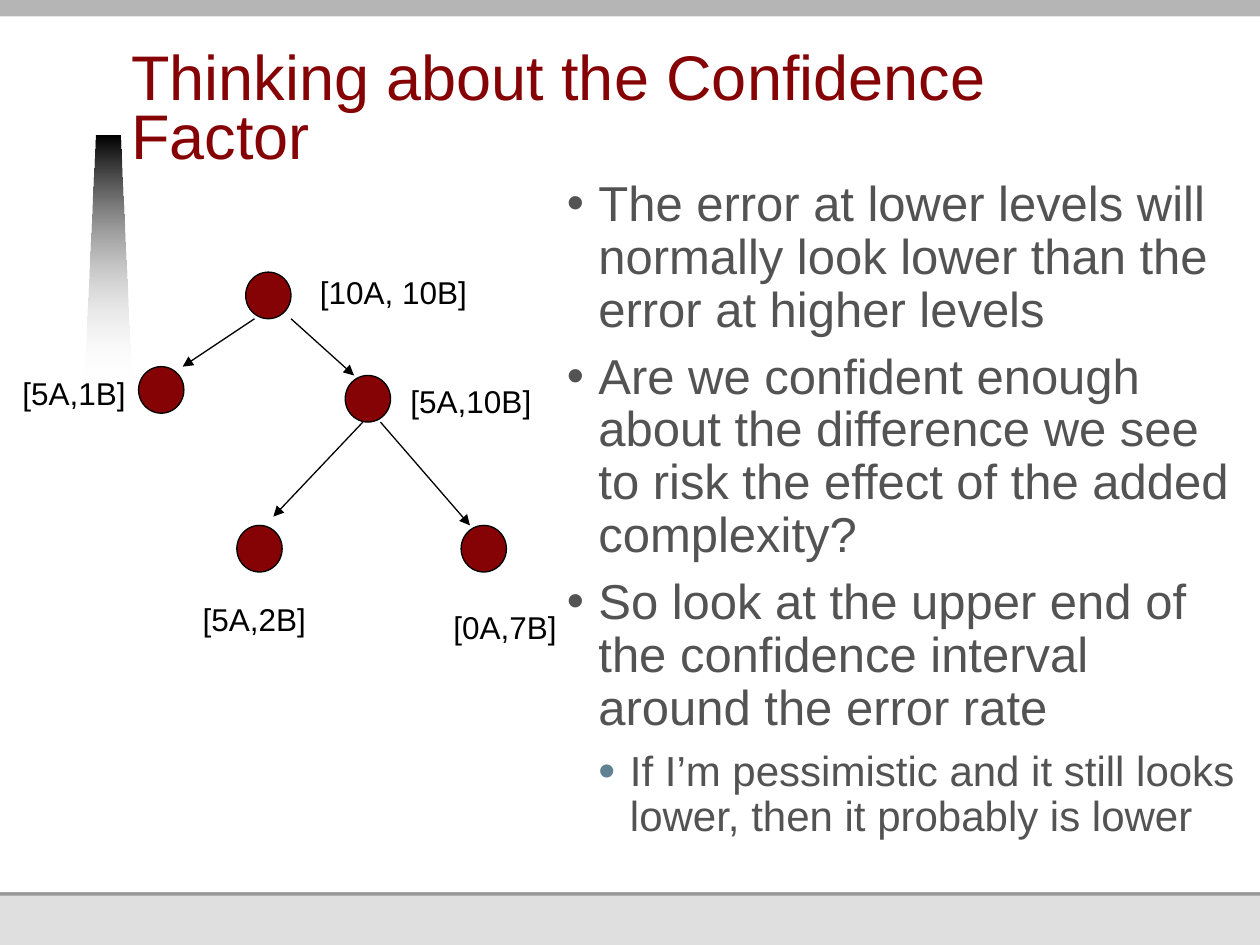
from lxml.etree import SubElement
from pptx import Presentation
from pptx.dml.color import RGBColor
from pptx.enum.shapes import MSO_CONNECTOR, MSO_SHAPE
from pptx.enum.text import MSO_ANCHOR, MSO_AUTO_SIZE, PP_ALIGN
from pptx.oxml.ns import qn
from pptx.util import Inches, Pt

RED, GREY, BLACK, WHITE = "850205", "535353", "000000", "FFFFFF"

TITLE = "Thinking about the Confidence Factor"
BANDS = [  # left, top, width, height, colour
    (0, 0, 10, 7.5, "DFDFDF"),
    (0, 1.78, 10, 5.33, "989898"),
    (0, 0, 10, 7.08, WHITE),
    (0, 0, 7.9, 0.11, "989898"),
    (0, -0.04, 10.17, 0.17, "B5B5B5"),
]
BEAM = [(0.67, 3.05), (0.76, 1.08), (0.95, 1.08), (1.04, 3.05)]
NODES = [  # node left and top, label, label left, top and width
    (1.95, 2.16, "[10A, 10B]", 2.44, 2.12, 1.37),
    (1.1, 2.91, "[5A,1B]", 0.08, 2.92, 1.02),
    (2.74, 2.98, "[5A,10B]", 3.16, 2.98, 1.16),
    (1.88, 4.17, "[5A,2B]", 1.51, 4.71, 1.02),
    (3.66, 4.17, "[0A,7B]", 3.5, 4.78, 1.02),
]
ARROWS = [
    (2.02, 2.53, 1.45, 2.91),
    (2.31, 2.53, 2.81, 2.98),
    (2.88, 3.35, 2.17, 4.1),
    (3.02, 3.35, 3.73, 4.17),
]
POINTS = [  # level, text
    (0, "The error at lower levels will normally look lower than the error at higher levels"),
    (0, "Are we confident enough about the difference we see to risk the effect of the added complexity?"),
    (0, "So look at the upper end of the confidence interval around the error rate"),
    (1, "If I’m pessimistic and it still looks lower, then it probably is lower"),
]
LEVELS = [  # text size, bullet colour, bullet size in percent
    (28, GREY, 100),
    (24, "618091", 115),
]


def color(code):
    return RGBColor.from_string(code)


def inches(*values):
    return [Inches(v) for v in values]


def apply(target, values):
    for key, value in values.items():
        setattr(target, key, value)


def style(par, size, code):
    apply(par.font, {"size": Pt(size), "name": "Arial"})
    par.font.color.rgb = color(code)


def paint(shape, code, edge=None):
    shape.shadow.inherit = False
    shape.fill.solid()
    shape.fill.fore_color.rgb = color(code)
    if edge:
        shape.line.color.rgb = color(edge)
        shape.line.width = Pt(0.75)
    else:
        shape.line.fill.background()


def add_beam(shapes):
    """Draw the tapering beam that fades from black to clear."""
    start, *rest = [inches(*point) for point in BEAM]
    pen = shapes.build_freeform(*start)
    pen.add_line_segments(rest)
    beam = pen.convert_to_shape()
    paint(beam, WHITE)
    beam.fill.gradient()
    beam.fill.gradient_angle = 270
    for stop, code, place in zip(beam.fill.gradient_stops, (BLACK, WHITE), (0, 1)):
        stop.color.rgb = color(code)
        stop.position = place
    last = list(beam._element.iter(qn("a:srgbClr")))[-1]
    SubElement(last, qn("a:alpha"), val="0")


def add_arrow(shapes, ends):
    arrow = shapes.add_connector(MSO_CONNECTOR.STRAIGHT, *inches(*ends))
    arrow.line.color.rgb = color(BLACK)
    arrow.line.width = Pt(0.75)
    SubElement(arrow.line._get_or_add_ln(), qn("a:tailEnd"), type="triangle")
    SubElement(arrow._element.spPr, qn("a:effectLst"))


def add_tree(shapes):
    for left, top, *_ in NODES:
        node = shapes.add_shape(MSO_SHAPE.OVAL, *inches(left, top, 0.36, 0.37))
        paint(node, RED, BLACK)
    for _, _, text, left, top, width in NODES:
        frame = shapes.add_textbox(*inches(left, top, width, 0.4)).text_frame
        apply(frame, {"text": text, "word_wrap": False,
                      "auto_size": MSO_AUTO_SIZE.SHAPE_TO_FIT_TEXT})
        style(frame.paragraphs[0], 18, BLACK)
    for ends in ARROWS:
        add_arrow(shapes, ends)


def add_bullet(par, level, code, percent):
    props = par._p.get_or_add_pPr()
    props.set("marL", str(Inches(0.25 * (level + 1))))
    props.set("indent", str(Inches(-0.25)))
    SubElement(SubElement(props, qn("a:buClr")), qn("a:srgbClr"), val=code)
    SubElement(props, qn("a:buSzPct"), val=str(percent * 1000))
    SubElement(props, qn("a:buFont"), typeface="Arial")
    SubElement(props, qn("a:buChar"), char="•")


FRAME = {"margin_left": 0, "margin_top": 0, "margin_right": 0,
         "margin_bottom": Inches(0.05), "word_wrap": True,
         "auto_size": MSO_AUTO_SIZE.NONE}


def add_points(shapes):
    frame = shapes.add_textbox(*inches(4.5, 1.42, 5.33, 5.67)).text_frame
    apply(frame, FRAME)
    for i, (level, text) in enumerate(POINTS):
        par = frame.add_paragraph() if i else frame.paragraphs[0]
        size, code, percent = LEVELS[level]
        apply(par, {"text": text, "level": level, "line_spacing": 0.9,
                    "space_after": Pt(8)})
        add_bullet(par, level, code, percent)
        style(par, size, GREY)


def set_title(title):
    left, top, width, height = inches(1.04, 0.34, 6.87, 1.08)
    apply(title, {"left": left, "top": top, "width": width, "height": height})
    apply(title.text_frame, {**FRAME, "text": TITLE, "vertical_anchor": MSO_ANCHOR.BOTTOM})
    par = title.text_frame.paragraphs[0]
    apply(par, {"alignment": PP_ALIGN.LEFT, "line_spacing": Pt(34)})
    style(par, 36, RED)


def main():
    deck = Presentation()
    deck.slide_width, deck.slide_height = inches(10, 7.5)
    slide = deck.slides.add_slide(deck.slide_layouts[5])
    shapes = slide.shapes
    for *place, code in BANDS:
        paint(shapes.add_shape(MSO_SHAPE.RECTANGLE, *inches(*place)), code)
    add_beam(shapes)
    set_title(shapes.title)
    shapes._spTree.append(shapes.title._element)  # in front of the bands
    add_tree(shapes.add_group_shape().shapes)
    add_points(shapes)
    deck.save("out.pptx")


if __name__ == "__main__":
    main()
